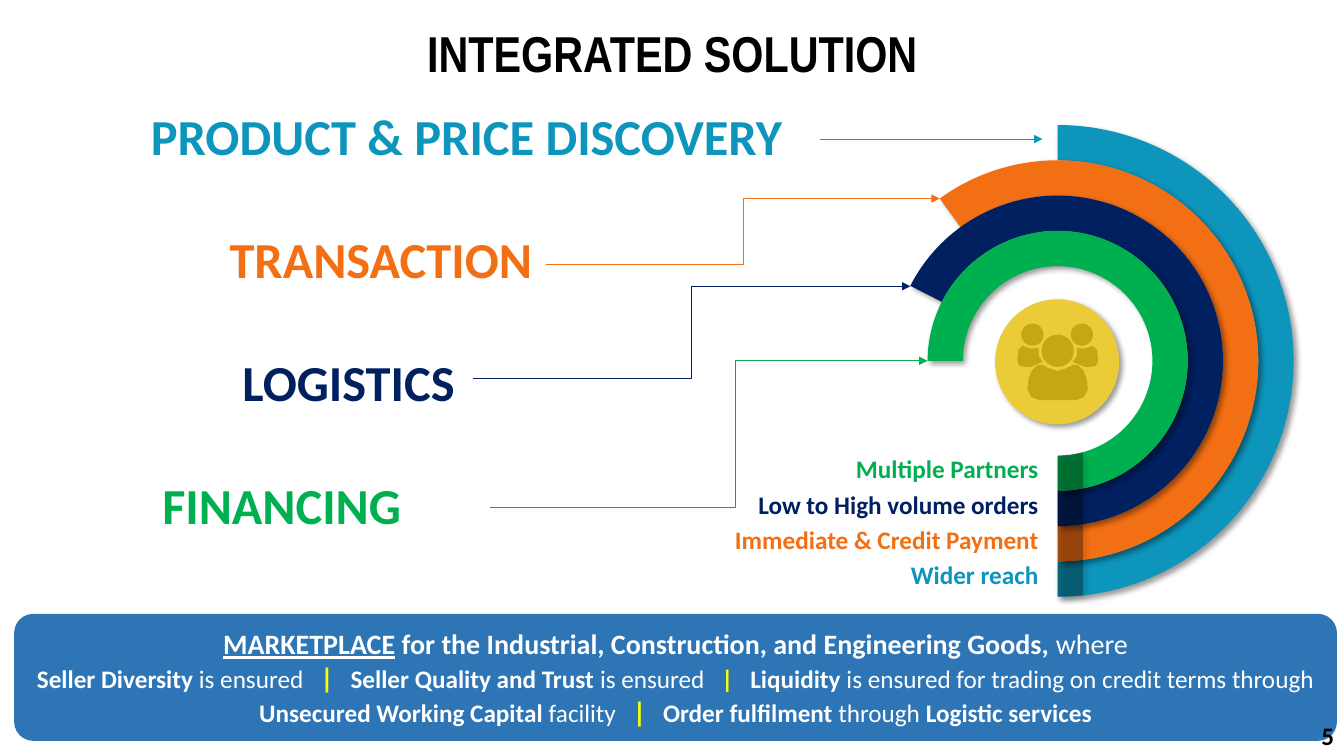
from math import sqrt

from lxml.etree import SubElement
from pptx import Presentation
from pptx.dml.color import RGBColor
from pptx.enum.shapes import MSO_CONNECTOR, MSO_SHAPE
from pptx.enum.text import MSO_ANCHOR, MSO_AUTO_SIZE, PP_ALIGN
from pptx.oxml.ns import qn
from pptx.util import Inches, Pt

TEAL = RGBColor(0x0D, 0x95, 0xBC)
ORANGE = RGBColor(0xF3, 0x6F, 0x13)
NAVY = RGBColor(0x00, 0x20, 0x60)
GREEN = RGBColor(0x00, 0xB0, 0x50)
GOLD = RGBColor(0xEB, 0xCB, 0x38)
DARK_GOLD = RGBColor(0xC6, 0xA6, 0x14)
BLUE = RGBColor(0x2E, 0x75, 0xB6)
YELLOW = RGBColor(0xFF, 0xFF, 0x00)
WHITE = RGBColor(0xFF, 0xFF, 0xFF)
BLACK = RGBColor(0x00, 0x00, 0x00)

CENTER_X, CENTER_Y = 10.49, 3.58
INNER_RADIUS, RING_WIDTH, SHADE_WIDTH = 0.94, 0.35, 0.25


def ring_shade(inner, outer):
    """The part of a ring just right of its lower end."""
    offsets = [0, SHADE_WIDTH / 2, SHADE_WIDTH]
    lower = [(CENTER_X + d, CENTER_Y + sqrt(outer ** 2 - d ** 2)) for d in offsets]
    upper = [(CENTER_X + d, CENTER_Y + sqrt(inner ** 2 - d ** 2)) for d in offsets]
    return lower + upper[::-1]


def mirrored(points):
    return [(2 * CENTER_X - x, y) for x, y in points]


class SlideStyle:
    font = "Calibri"
    shadow = {"blurRad": Pt(4), "dist": Pt(3), "dir": 45 * 60000,
              "algn": "tl", "rotWithShape": 0}

    def __init__(self, slide):
        self.slide = slide
        self.shapes = slide.shapes

    def paint(self, shape, color, opacity=100, shadow=True):
        shape.fill.solid()
        shape.fill.fore_color.rgb = color
        shape.line.fill.background()
        shape.shadow.inherit = False
        properties = shape._element.spPr
        if opacity < 100:
            fill_color = properties.find(qn("a:solidFill"))[0]
            SubElement(fill_color, qn("a:alpha"), val=str(opacity * 1000))
        if shadow:
            attributes = {name: str(value) for name, value in self.shadow.items()}
            effect = SubElement(properties.find(qn("a:effectLst")),
                                qn("a:outerShdw"), attributes)
            shadow_color = SubElement(effect, qn("a:srgbClr"), val="000000")
            SubElement(shadow_color, qn("a:alpha"), val="40000")

    def outline(self, points, color, **paint):
        points = [(Inches(x), Inches(y)) for x, y in points]
        builder = self.shapes.build_freeform(*points[0], scale=1.0)
        builder.add_line_segments(points[1:], close=True)
        self.paint(builder.convert_to_shape(), color, **paint)

    def shape(self, kind, left, top, width, height, color, **paint):
        shape = self.shapes.add_shape(kind, *map(Inches, (left, top, width, height)))
        self.paint(shape, color, **paint)
        return shape

    def disc(self, x, y, radius, color, kind=MSO_SHAPE.OVAL, **paint):
        return self.shape(kind, x - radius, y - radius, 2 * radius, 2 * radius, color, **paint)

    def ring(self, outer, start, color):
        """A block arc running clockwise from the start angle to the bottom."""
        ring = self.disc(CENTER_X, CENTER_Y, outer, color, MSO_SHAPE.BLOCK_ARC)
        degree = 0.6
        for index, value in enumerate([start * degree, 90 * degree, RING_WIDTH / (2 * outer)]):
            ring.adjustments[index] = value

    def spans(self, para, spans):
        for text, changes in spans:
            span = para.add_run()
            span.text = text
            values = {"name": self.font, "size": 18, "bold": True, "color": WHITE, **changes}
            span.font.color.rgb = values.pop("color")
            values["size"] = Pt(values["size"])
            spacing = values.pop("spacing", None)
            for name, value in values.items():
                setattr(span.font, name, value)
            if spacing:
                span._r.get_or_add_rPr().set("spc", str(spacing * 100))

    def label(self, text, left, top, width, height, color, size=18,
              align=PP_ALIGN.RIGHT, anchor=MSO_ANCHOR.MIDDLE, side_margin=0):
        box = self.shapes.add_textbox(*map(Inches, (left, top, width, height)))
        frame = box.text_frame
        settings = {"word_wrap": True, "auto_size": MSO_AUTO_SIZE.SHAPE_TO_FIT_TEXT,
                    "vertical_anchor": anchor, "margin_left": Inches(side_margin),
                    "margin_right": Inches(side_margin)}
        for name, value in settings.items():
            setattr(frame, name, value)
        para = frame.paragraphs[0]
        para.alignment = align
        self.spans(para, [(text, {"size": size, "color": color})])

    def arrow(self, kind, start, end, color, bend=None):
        line = self.shapes.add_connector(kind, *map(Inches, (*start, *end)))
        line.line.color.rgb = color
        line.line.width = Pt(0.5)
        properties = line._element.spPr
        SubElement(properties.find(qn("a:ln")), qn("a:tailEnd"), type="triangle")
        SubElement(properties, qn("a:effectLst"))
        if bend:
            guides = properties.find(qn("a:prstGeom")).get_or_add_avLst()
            SubElement(guides, qn("a:gd"), name="adj1", fmla=f"val {round(bend * 100000)}")

    def title(self, text, left, top, width, height):
        title = self.shapes.title
        title.left, title.top, title.width, title.height = map(
            Inches, (left, top, width, height))
        title.text_frame.vertical_anchor = MSO_ANCHOR.MIDDLE
        para = title.text_frame.paragraphs[0]
        para.alignment = PP_ALIGN.CENTER
        para.line_spacing = 0.9
        self.spans(para, [(text, {"name": "Arial Narrow", "size": 36, "color": BLACK})])


def separator(size=20):
    gap = (" ", {"spacing": 8})
    return [gap, ("|", {"size": size, "color": YELLOW}), gap]


def draw_people(page):
    body = [(10.49, 3.68), (10.56, 3.66), (10.64, 3.62), (10.69, 3.62), (10.75, 3.68),
            (10.78, 3.77), (10.79, 3.86), (10.75, 3.94), (10.67, 3.97)]
    neighbour = [(10.84, 3.43), (10.88, 3.47), (10.89, 3.58), (10.87, 3.63), (10.81, 3.64),
                 (10.76, 3.64), (10.64, 3.59), (10.68, 3.53), (10.68, 3.45), (10.75, 3.46)]
    for points in (body + mirrored(body)[::-1], neighbour, mirrored(neighbour)):
        page.outline(points, DARK_GOLD, shadow=False)
    for x, y, radius in [(CENTER_X, 3.48, 0.16), (10.24, 3.32, 0.11), (10.73, 3.32, 0.11)]:
        page.disc(x, y, radius, DARK_GOLD, shadow=False)


def main():
    deck = Presentation()
    deck.slide_width, deck.slide_height = Inches(13.33), Inches(7.5)
    page = SlideStyle(deck.slides.add_slide(deck.slide_layouts[5]))
    page.title("INTEGRATED SOLUTION", 0.46, 0.24, 12.42, 0.63)

    ring_styles = [(TEAL, 270), (ORANGE, 234), (NAVY, 207), (GREEN, 180)]
    radii = [INNER_RADIUS + RING_WIDTH * i for i in range(len(ring_styles))][::-1]
    for (color, start), inner in zip(ring_styles, radii):
        page.ring(inner + RING_WIDTH, start, color)
    for inner in radii[::-1]:
        page.outline(ring_shade(inner, inner + RING_WIDTH), BLACK, opacity=30)
    page.shape(MSO_SHAPE.OVAL, 9.87, 2.97, 1.23, 1.24, GOLD)
    draw_people(page)

    benefits = [("Multiple Partners", GREEN), ("Low to High volume orders", NAVY),
                ("Immediate & Credit Payment", ORANGE), ("Wider reach", TEAL)]
    for row, (text, color) in enumerate(benefits):
        page.label(text, 7.09, 4.45 + row * RING_WIDTH, 3.21, 0.4, color)

    stages = [("PRODUCT & PRICE DISCOVERY", 1.34, 6.42, TEAL, PP_ALIGN.RIGHT),
              ("TRANSACTION", 0.59, 4.69, ORANGE, PP_ALIGN.RIGHT),
              ("LOGISTICS", 0.11, 4.4, NAVY, PP_ALIGN.RIGHT),
              ("FINANCING", 0.18, 5.23, GREEN, PP_ALIGN.CENTER)]
    for row, (text, left, width, color, align) in enumerate(stages):
        page.label(text, left, 0.99 + row * 1.22, width, 0.71, color, 36, align)

    page.arrow(MSO_CONNECTOR.STRAIGHT, (8.13, 1.38), (10.34, 1.38), TEAL)
    page.arrow(MSO_CONNECTOR.ELBOW, (5.42, 2.62), (9.32, 1.97), ORANGE)
    page.arrow(MSO_CONNECTOR.ELBOW, (4.69, 3.75), (9.03, 2.84), NAVY)
    page.arrow(MSO_CONNECTOR.ELBOW, (4.86, 5.03), (9.2, 3.58), GREEN, bend=0.56)

    banner = page.shape(MSO_SHAPE.ROUNDED_RECTANGLE, 0.14, 6.09, 13.12, 1.26, BLUE, shadow=False)
    banner.adjustments[0] = 0.15
    frame = banner.text_frame
    frame.word_wrap = True
    frame.vertical_anchor = MSO_ANCHOR.MIDDLE
    plain = {"bold": False}
    headline = [("MARKETPLACE", {"size": 20, "underline": True}),
                (" for the Industrial, Construction, and Engineering Goods,", {"size": 20}),
                (" where", {"size": 20, "bold": False})]
    promises = [("Seller Diversity ", {}), ("is ensured", plain), *separator(),
                ("Seller Quality and Trust ", {}), ("is ensured", plain), *separator(18),
                ("Liquidity", {}),
                (" is ensured for trading on credit terms through ", plain),
                ("Unsecured Working Capital ", {}), ("facility", plain), *separator(),
                ("Order fulfilment ", {}), ("through ", plain), ("Logistic services", {})]
    for para, spans in [(frame.paragraphs[0], headline), (frame.add_paragraph(), promises)]:
        para.alignment = PP_ALIGN.CENTER
        page.spans(para, spans)

    page.label("5", 10.33, 7.1, 3, 0.4, BLACK, anchor=MSO_ANCHOR.TOP, side_margin=0.1)
    deck.save("out.pptx")


if __name__ == "__main__":
    main()
